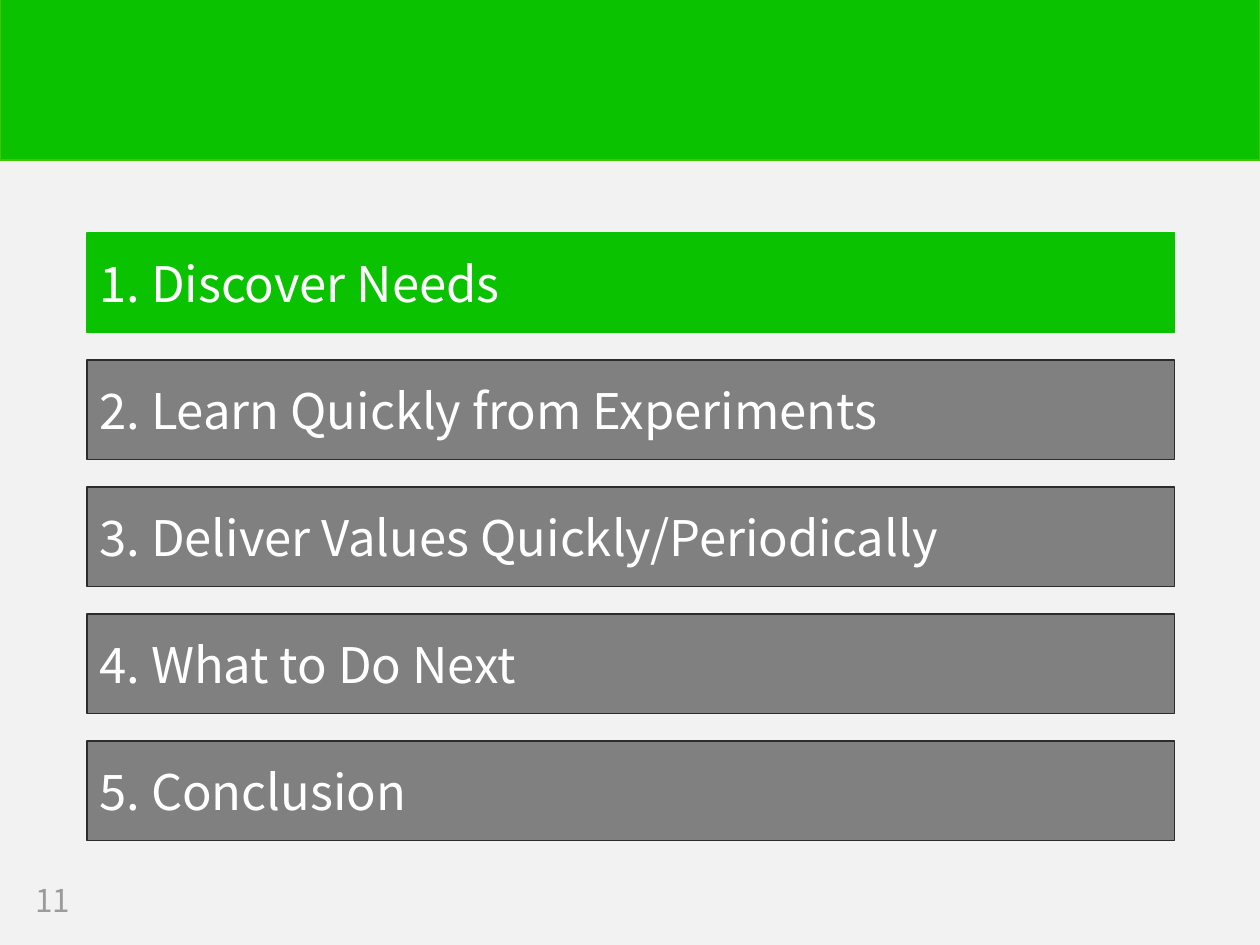
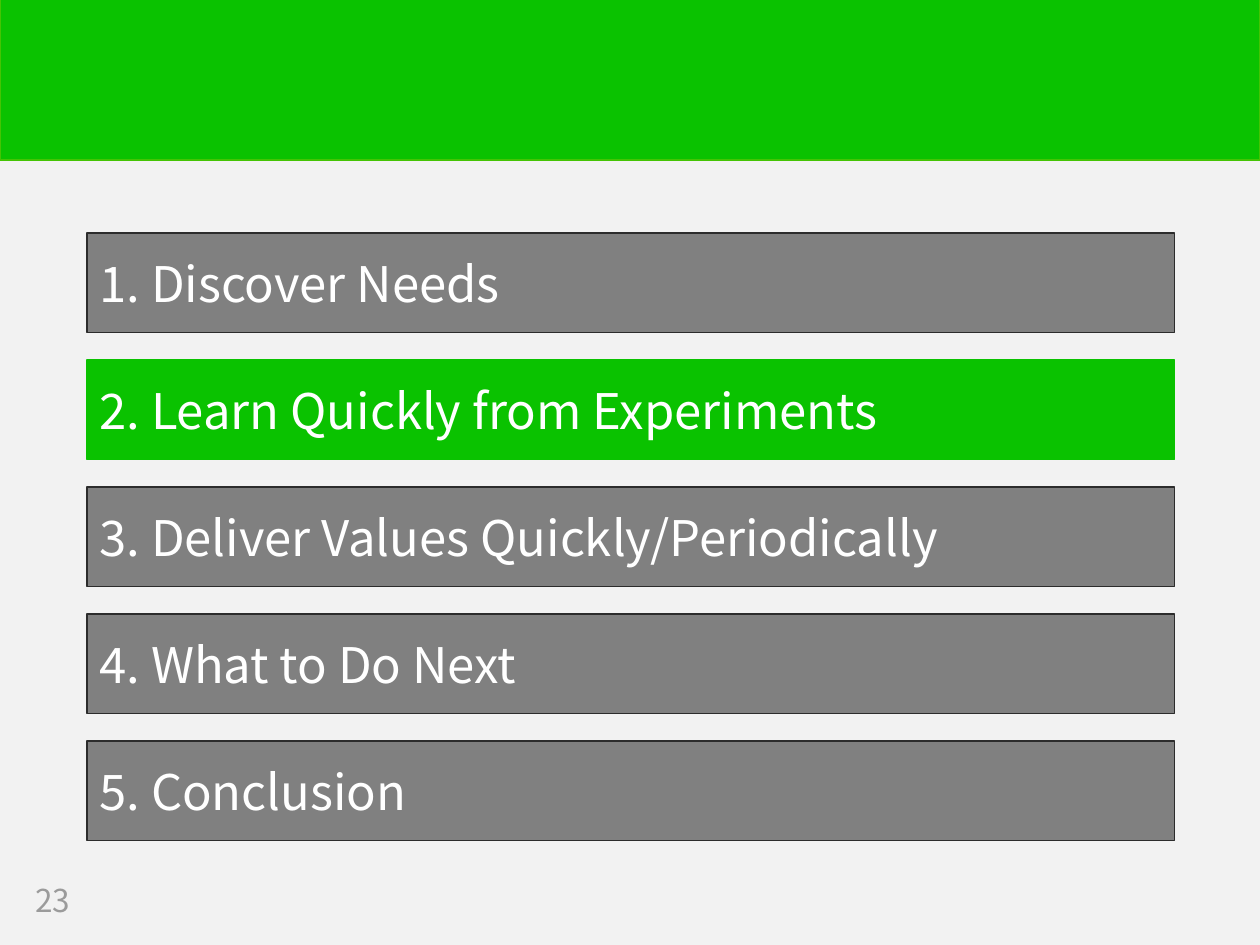
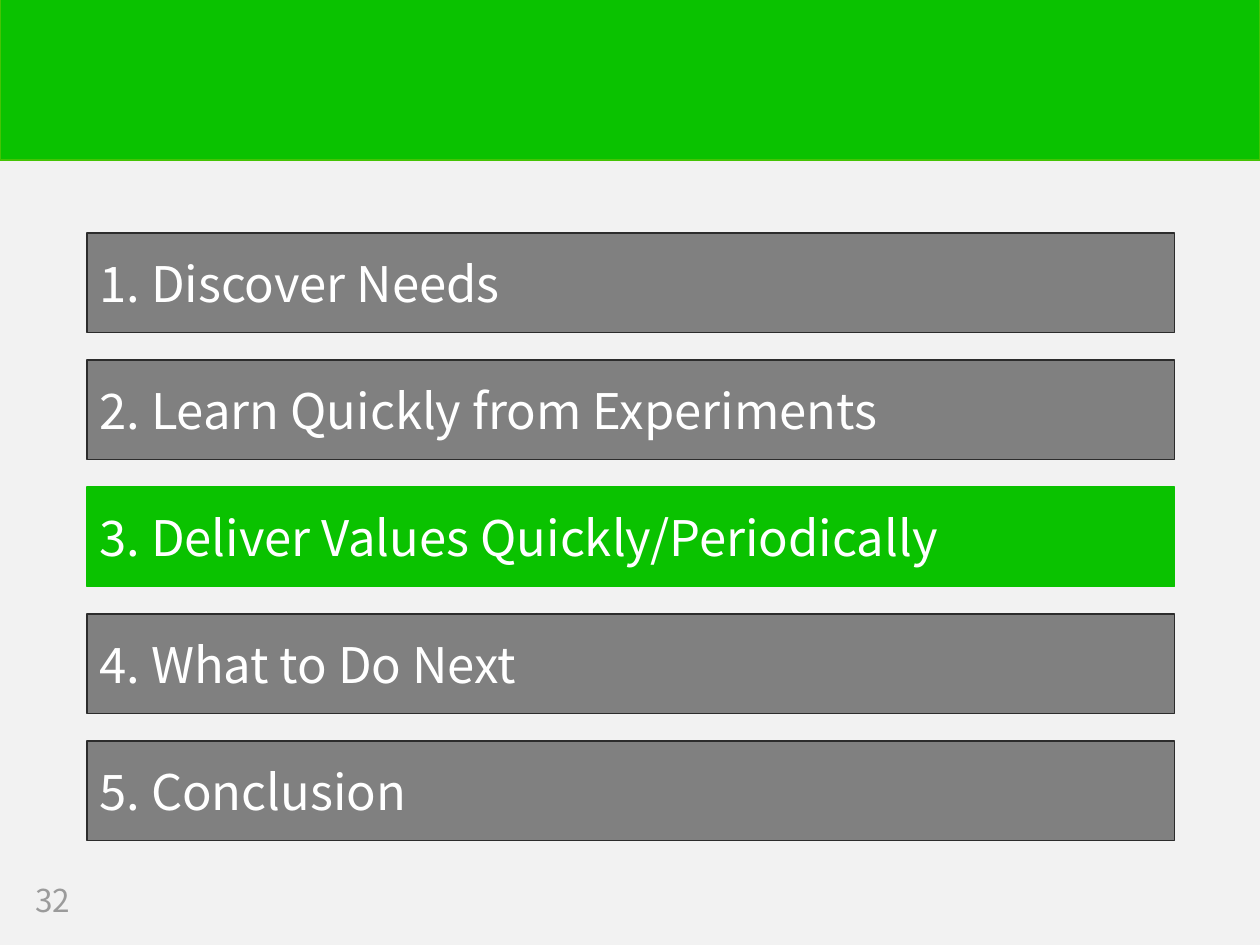
from dataclasses import dataclass

from pptx import Presentation
from pptx.dml.color import RGBColor
from pptx.enum.shapes import MSO_SHAPE
from pptx.enum.text import MSO_ANCHOR, PP_ALIGN
from pptx.util import Inches, Pt


@dataclass(frozen=True)
class Theme:
    font: str = "Noto Sans CJK JP"
    background: str = "F2F2F2"
    accent: str = "0AC200"
    band_edge: str = "44C404"
    inactive: str = "808080"
    inactive_edge: str = "2C2C2C"
    agenda_text: str = "FFFFFF"
    number_text: str = "9B9B9B"
    agenda_size: int = 28
    number_size: int = 18
    band_line: float = 1
    agenda_line: float = 0.75


COLUMNS, ROWS = 100, 75
AGENDA_LEFT, AGENDA_WIDTH = 6.9, 86.3
AGENDA_TOP, AGENDA_HEIGHT, AGENDA_PITCH = 18.5, 7.9, 10.08
AGENDA = [
    "Discover Needs",
    "Learn Quickly from Experiments",
    "Deliver Values Quickly/Periodically",
    "What to Do Next",
    "Conclusion",
]
SECTION_SLIDES = [(11, 1), (23, 2), (32, 3)]


def write_text(shape, text, *, font, size, color):
    frame = shape.text_frame
    frame.word_wrap = True
    frame.vertical_anchor = MSO_ANCHOR.MIDDLE
    paragraph = frame.paragraphs[0]
    paragraph.alignment = PP_ALIGN.LEFT
    run = paragraph.add_run()
    run.text = text
    run.font.name = font
    run.font.size = Pt(size)
    run.font.color.rgb = RGBColor.from_string(color)


class AgendaDeck:
    def __init__(self, theme):
        self.theme = theme
        self.presentation = Presentation()
        self.presentation.slide_width = Inches(10)
        self.presentation.slide_height = Inches(7.5)
        fill = self.presentation.slide_master.background.fill
        fill.solid()
        fill.fore_color.rgb = RGBColor.from_string(theme.background)
        self.slide = None

    def place(self, left, top, width, height):
        column = self.presentation.slide_width / COLUMNS
        row = self.presentation.slide_height / ROWS
        return (round(left * column), round(top * row),
                round(width * column), round(height * row))

    def rectangle(self, *grid, fill, line, line_width):
        shape = self.slide.shapes.add_shape(MSO_SHAPE.RECTANGLE, *self.place(*grid))
        shape.shadow.inherit = False
        shape.fill.solid()
        shape.fill.fore_color.rgb = RGBColor.from_string(fill)
        shape.line.color.rgb = RGBColor.from_string(line)
        shape.line.width = Pt(line_width)
        return shape

    def page_number(self, number):
        box = self.slide.shapes.add_textbox(*self.place(1.8, 69.5, 7.9, 3.9))
        write_text(box, str(number), font=self.theme.font,
                   size=self.theme.number_size, color=self.theme.number_text)

    def agenda_bar(self, position, label, active):
        theme = self.theme
        top = AGENDA_TOP + (position - 1) * AGENDA_PITCH
        bar = self.rectangle(
            AGENDA_LEFT, top, AGENDA_WIDTH, AGENDA_HEIGHT,
            fill=theme.accent if active else theme.inactive,
            line=theme.accent if active else theme.inactive_edge,
            line_width=theme.agenda_line)
        write_text(bar, f"{position}. {label}", font=theme.font,
                   size=theme.agenda_size, color=theme.agenda_text)

    def section_slide(self, number, active_position):
        blank_layout = self.presentation.slide_layouts.get_by_name("Blank")
        self.slide = self.presentation.slides.add_slide(blank_layout)
        self.rectangle(0, -0.1, COLUMNS, 12.8, fill=self.theme.accent,
                       line=self.theme.band_edge, line_width=self.theme.band_line)
        self.page_number(number)
        for position, label in enumerate(AGENDA, start=1):
            self.agenda_bar(position, label, position == active_position)


def main():
    deck = AgendaDeck(Theme())
    for number, active_position in SECTION_SLIDES:
        deck.section_slide(number, active_position)
    deck.presentation.save("out.pptx")


if __name__ == "__main__":
    main()
